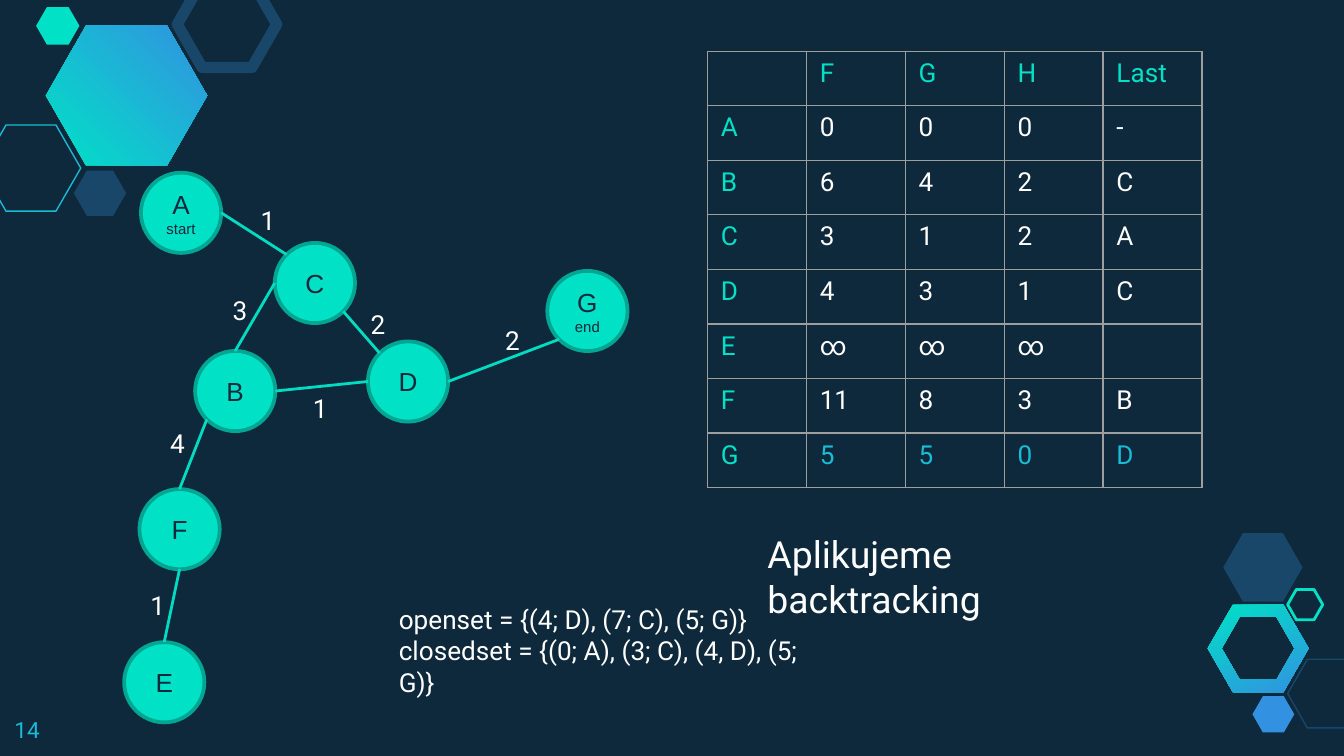
from math import cos, pi, sin

from lxml import etree
from pptx import Presentation
from pptx.dml.color import RGBColor
from pptx.enum.shapes import MSO_CONNECTOR, MSO_SHAPE
from pptx.enum.text import MSO_ANCHOR, MSO_AUTO_SIZE, PP_ALIGN
from pptx.oxml.ns import qn
from pptx.util import Pt

HEXAGON, OVAL = MSO_SHAPE.HEXAGON, MSO_SHAPE.OVAL
STRAIGHT = MSO_CONNECTOR.STRAIGHT
TOP, MIDDLE = MSO_ANCHOR.TOP, MSO_ANCHOR.MIDDLE
LEFT, CENTER = PP_ALIGN.LEFT, PP_ALIGN.CENTER
NO_AUTOFIT = MSO_AUTO_SIZE.NONE

NAVY, TEAL, CYAN, WHITE = "0E293C", "00E1C6", "19BBD5", "FFFFFF"
STEEL, BLUE, DARK_TEAL, EDGE_TEAL, GRAY = "184769", "3292E1", "00A692", "00DCC2", "9E9E9E"
HEXAGON_RATIO, HEXAGON_CUT = 0.866, 0.287
NODE_SIZE = 43

# Connection sites of a circle, counted anticlockwise in eighths from the top
NORTH, NORTHWEST, WEST, SOUTHWEST, SOUTH, SOUTHEAST, EAST = range(7)

NODES = {  # centre inside the graph box, caption
    "A": (31, 21, "start"), "C": (102.7, 58.6, None), "E": (22, 272.5, None),
    "G": (248.7, 73.6, "end"), "D": (152.6, 111.4, None),
    "B": (60, 116.5, None), "F": (30.2, 190.5, None),
}
EDGES = [  # from, site, to, site, cost, label position
    ("A", EAST, "C", NORTHWEST, "1", (66.5, 13)),
    ("C", SOUTHEAST, "D", NORTHWEST, "2", (125.5, 68.5)),
    ("D", EAST, "G", SOUTHWEST, "2", (197.5, 77.5)),
    ("B", NORTH, "C", WEST, "3", (51.5, 61)),
    ("B", EAST, "D", WEST, "1", (94.5, 113.5)),
    ("B", SOUTHWEST, "F", NORTH, "4", (18, 132.5)),
    ("F", SOUTH, "E", NORTH, "1", (7.5, 219.5)),
]
COSTS = [
    ["", "F", "G", "H", "Last"],
    ["A", "0", "0", "0", "-"],
    ["B", "6", "4", "2", "C"],
    ["C", "3", "1", "2", "A"],
    ["D", "4", "3", "1", "C"],
    ["E", "∞", "∞", "∞", ""],
    ["F", "11", "8", "3", "B"],
    ["G", "5", "5", "0", "D"],
]


def rgb(value):
    return RGBColor.from_string(value)


def style_paragraph(paragraph, size, color, name="Roboto", alignment=LEFT):
    paragraph.alignment = alignment
    paragraph.font.size = Pt(size)
    paragraph.font.name = name
    paragraph.font.color.rgb = rgb(color)


def add_text(slide, left, top, width, height, lines, size=14, color=WHITE, inset=3.6):
    frame = slide.shapes.add_textbox(Pt(left), Pt(top), Pt(width), Pt(height)).text_frame
    frame.word_wrap = True
    frame.margin_top = frame.margin_bottom = Pt(inset)
    frame.text = "\n".join(lines)
    for paragraph in frame.paragraphs:
        style_paragraph(paragraph, size, color)


def paint(shape, fill=None, line=None, weight=0.75):
    shape.shadow.inherit = False
    if fill:
        shape.fill.solid()
        shape.fill.fore_color.rgb = rgb(fill)
    else:
        shape.fill.background()
    if line:
        shape.line.color.rgb = rgb(line)
        shape.line.width = Pt(weight)
    else:
        shape.line.fill.background()


def paint_gradient(shape, angle):
    paint(shape)
    shape.fill.gradient()
    shape.fill.gradient_angle = angle
    for stop, color in zip(shape.fill.gradient_stops, (TEAL, BLUE)):
        stop.color.rgb = rgb(color)


def add_hexagon(slide, left, top, width):
    shape = slide.shapes.add_shape(
        HEXAGON, Pt(left), Pt(top), Pt(width), Pt(width * HEXAGON_RATIO))
    shape.adjustments[0] = HEXAGON_CUT
    shape.adjustments[1] = 1.155
    return shape


def hexagon_points(left, top, width):
    height = width * HEXAGON_RATIO
    cut = height * HEXAGON_CUT
    offsets = [(0, height / 2), (cut, 0), (width - cut, 0),
               (width, height / 2), (width - cut, height), (cut, height)]
    return [(Pt(left + x), Pt(top + y)) for x, y in offsets]


def add_hexagon_ring(slide, left, top, width, band):
    outer = hexagon_points(left, top, width)
    inner_width = width - 2 * band
    inner_top = top + band * HEXAGON_RATIO
    inner = hexagon_points(left + band, inner_top, inner_width)[::-1]
    builder = slide.shapes.build_freeform(*outer[0])
    builder.add_line_segments(outer[1:], close=True)
    builder.move_to(*inner[0])
    builder.add_line_segments(inner[1:], close=True)
    return builder.convert_to_shape()


def add_top_cluster(slide, left, top):
    paint_gradient(add_hexagon(slide, left + 24.6, top + 13.8, 86.4), 45)
    paint(add_hexagon(slide, left - 10, top + 67, 53.3), line=CYAN)
    paint(add_hexagon(slide, left + 39.6, top + 91.4, 28), fill=STEEL)
    paint(add_hexagon(slide, left + 95, top - 10, 53.3), line=STEEL, weight=6)
    paint(add_hexagon(slide, left + 19.4, top + 3.8, 23.2), fill=TEAL)


def add_bottom_cluster(slide, left, top):
    paint_gradient(add_hexagon_ring(slide, left, top + 39, 54, 7.5), 296)
    paint(add_hexagon(slide, left + 42.8, top + 68.2, 42.5), line=STEEL)
    paint(add_hexagon(slide, left + 24, top + 88, 22.4), fill=BLUE)
    paint(add_hexagon(slide, left + 8.3, top + 0.6, 42.5), fill=STEEL)
    paint(add_hexagon(slide, left + 42.8, top + 30.8, 18.8), line=TEAL, weight=1.5)


def site_point(name, site):
    x, y, _ = NODES[name]
    angle = site * pi / 4
    return x - NODE_SIZE / 2 * sin(angle), y - NODE_SIZE / 2 * cos(angle)


def add_graph(slide, left, top):
    # Nodes
    for name, (x, y, caption) in NODES.items():
        node = slide.shapes.add_shape(
            OVAL, Pt(left + x - NODE_SIZE / 2), Pt(top + y - NODE_SIZE / 2),
            Pt(NODE_SIZE), Pt(NODE_SIZE))
        paint(node, TEAL, DARK_TEAL, 2)
        frame = node.text_frame
        frame.vertical_anchor = MIDDLE
        frame.margin_left = frame.margin_right = frame.margin_top = frame.margin_bottom = 0
        frame.text = f"{name}\n{caption}" if caption else name
        for paragraph, size in zip(frame.paragraphs, (14, 8)):
            style_paragraph(paragraph, size, NAVY, "Arial", CENTER)
    # Edges with their costs
    for start, start_site, end, end_site, cost, (label_x, label_y) in EDGES:
        x1, y1 = site_point(start, start_site)
        x2, y2 = site_point(end, end_site)
        edge = slide.shapes.add_connector(
            STRAIGHT, Pt(left + x1), Pt(top + y1), Pt(left + x2), Pt(top + y2))
        edge.line.color.rgb = rgb(EDGE_TEAL)
        edge.line.width = Pt(1.5)
        etree.SubElement(edge._element.spPr, qn("a:effectLst"))
        add_text(slide, left + label_x, top + label_y, 23, 24.2, [cost])


def add_cell_borders(cell):
    properties = cell._tc.get_or_add_tcPr()
    for position, side in enumerate(("a:lnL", "a:lnR", "a:lnT", "a:lnB")):
        border = etree.Element(qn(side), w=str(Pt(0.75)))
        fill = etree.SubElement(border, qn("a:solidFill"))
        etree.SubElement(fill, qn("a:srgbClr"), val=GRAY)
        properties.insert(position, border)


def add_cost_table(slide, left, top, width, height):
    rows, columns = len(COSTS), len(COSTS[0])
    table = slide.shapes.add_table(
        rows, columns, Pt(left), Pt(top), Pt(width), Pt(height)).table
    table.first_row = table.horz_banding = False
    for row, values in enumerate(COSTS):
        for column, value in enumerate(values):
            cell = table.cell(row, column)
            cell.text = value
            cell.fill.background()
            add_cell_borders(cell)
            is_header = row == 0 or column == 0
            color = TEAL if is_header else CYAN if row == rows - 1 else WHITE
            style_paragraph(cell.text_frame.paragraphs[0], 14, color)


def add_heading(slide, left, top, width, height):
    title = slide.shapes.title
    title.left, title.top, title.width, title.height = map(Pt, (left, top, width, height))
    frame = title.text_frame
    frame.text = "Aplikujeme backtracking"
    frame.word_wrap = True
    frame.auto_size = NO_AUTOFIT
    frame.vertical_anchor = TOP
    style_paragraph(frame.paragraphs[0], 20, WHITE)


def main():
    presentation = Presentation()
    presentation.slide_width, presentation.slide_height = Pt(720), Pt(405)
    slide = presentation.slides.add_slide(presentation.slide_layouts[5])
    slide.background.fill.solid()
    slide.background.fill.fore_color.rgb = rgb(NAVY)

    add_bottom_cluster(slide, 647, 285)
    add_top_cluster(slide, 0, 0)
    add_text(slide, 0.7, 376.6, 43.2, 28, ["14"], 12, CYAN, inset=7.2)
    add_graph(slide, 66, 93)
    add_cost_table(slide, 379, 27.4, 265, 234)
    add_text(slide, 206.6, 319.7, 234.7, 41,
             ["openset = {(4; D), (7; C), (5; G)}",
              "closedset = {(0; A), (3; C), (4, D), (5; G)}"])
    add_heading(slide, 403.9, 281, 216, 31.5)
    presentation.save("out.pptx")


if __name__ == "__main__":
    main()
